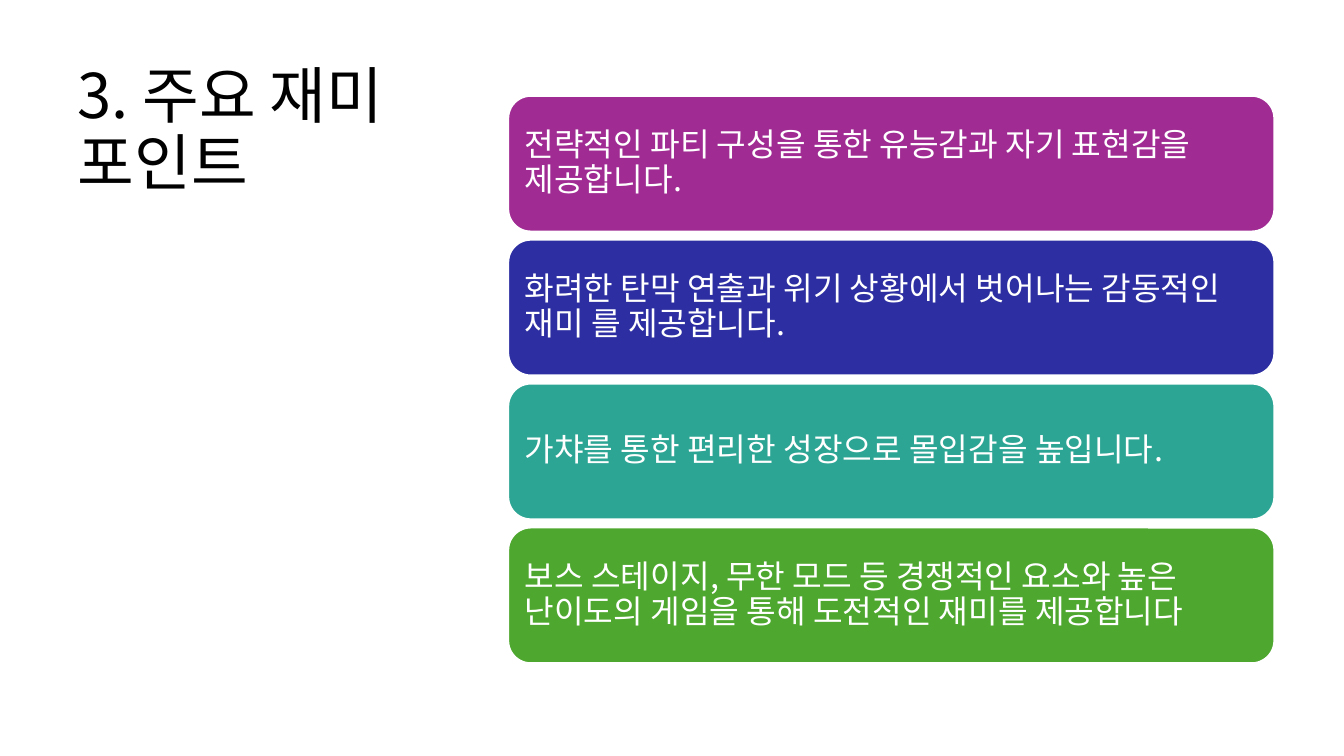
from lxml import etree
from pptx import Presentation
from pptx.dml.color import RGBColor
from pptx.enum.shapes import MSO_SHAPE as Shape
from pptx.enum.text import MSO_ANCHOR as Anchor, MSO_AUTO_SIZE as AutoSize, PP_ALIGN as Align
from pptx.oxml.ns import qn
from pptx.util import Inches, Pt

FONT = "Noto Sans CJK KR"
TITLE = "3. 주요 재미 포인트"
FUN_POINTS = [
    ("전략적인 파티 구성을 통한 유능감과 자기 표현감을 제공합니다.", "A02B93"),
    ("화려한 탄막 연출과 위기 상황에서 벗어나는 감동적인 재미 를 제공합니다.", "2C2EA2"),
    ("가챠를 통한 편리한 성장으로 몰입감을 높입니다.", "2DA594"),
    ("보스 스테이지, 무한 모드 등 경쟁적인 요소와 높은 난이도의 게임을 통해 "
     "도전적인 재미를 제공합니다", "4EA72E"),
]


def color(value):
    return RGBColor.from_string(value)


def write_text(shape, text, size, text_color, frame_format, space_after=0):
    frame = shape.text_frame
    frame.text = text
    for name, value in frame_format.items():
        setattr(frame, name, value)
    paragraph = frame.paragraphs[0]
    paragraph_format = {
        "alignment": Align.LEFT, "line_spacing": 0.9,
        "space_before": Pt(0), "space_after": Pt(space_after),
    }
    for name, value in paragraph_format.items():
        setattr(paragraph, name, value)
    run = paragraph.runs[0]
    for name, value in {"name": FONT, "size": Pt(size), "bold": False}.items():
        setattr(run.font, name, value)
    run.font.color.rgb = color(text_color)
    # Korean glyphs take the East Asian typeface
    etree.SubElement(run.font._element, qn("a:ea"), typeface=FONT)


def add_title(slide, left, top, width, height):
    title = slide.shapes.title
    box = {"left": left, "top": top, "width": width, "height": height}
    for name, value in box.items():
        setattr(title, name, Inches(value))
    write_text(title, TITLE, 44, "000000", {
        "word_wrap": True, "auto_size": AutoSize.NONE, "vertical_anchor": Anchor.TOP,
    })


def add_cards(slide, left, top, width, height, gap=0.08):
    """Stack one rounded card per fun point, evenly filling the box."""
    count = len(FUN_POINTS)
    card_height = (height - gap * (count - 1)) / count
    for index, (text, fill) in enumerate(FUN_POINTS):
        card_top = top + index * (card_height + gap)
        card = slide.shapes.add_shape(
            Shape.ROUNDED_RECTANGLE, Inches(left), Inches(card_top),
            Inches(width), Inches(card_height))
        card.shadow.inherit = False
        card.fill.solid()
        card.fill.fore_color.rgb = color(fill)
        card.line.color.rgb = color("FFFFFF")
        card.line.width = Pt(1.5)
        inset = Inches(0.1)
        write_text(card, text, 23, "FFFFFF", {
            "word_wrap": True, "vertical_anchor": Anchor.MIDDLE,
            "margin_left": inset, "margin_right": inset,
            "margin_top": inset, "margin_bottom": inset,
        }, space_after=8)


def main():
    presentation = Presentation()
    presentation.slide_width = Inches(13.33)
    presentation.slide_height = Inches(7.5)
    slide = presentation.slides.add_slide(presentation.slide_layouts[5])
    add_title(slide, 0.67, 0.6, 3.82, 6.33)
    add_cards(slide, 5.04, 0.95, 7.6, 5.63)
    presentation.save("out.pptx")


if __name__ == "__main__":
    main()
